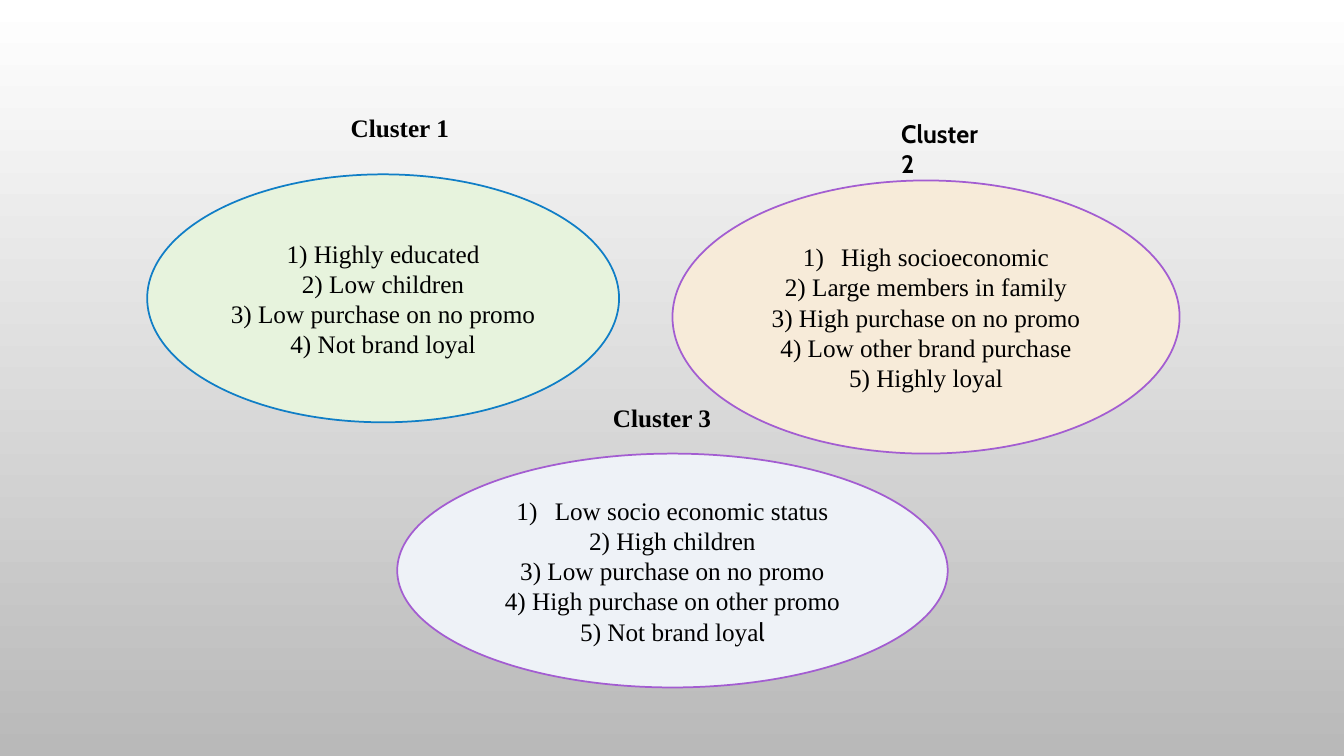
"""Build a slide that profiles three customer clusters in labelled ellipses."""
from lxml import etree
from pptx import Presentation
from pptx.dml.color import RGBColor
from pptx.enum.shapes import MSO_SHAPE
from pptx.enum.text import MSO_ANCHOR, PP_ALIGN
from pptx.oxml.ns import qn
from pptx.util import Inches, Pt

ELLIPSE = MSO_SHAPE.OVAL
MIDDLE = MSO_ANCHOR.MIDDLE
CENTER = PP_ALIGN.CENTER

SERIF = "Times New Roman"
SANS = "Cabin"
TEXT_SIZE = Pt(18)
NUMBER_INDENT = Inches(0.38)
LABEL_HEIGHT = 0.4

BLACK = RGBColor(0x00, 0x00, 0x00)
WHITE = RGBColor(0xFF, 0xFF, 0xFF)
GRAY = RGBColor(0xB9, 0xB9, 0xB9)
BLUE = RGBColor(0x10, 0x7E, 0xC6)
PURPLE = RGBColor(0xA3, 0x5D, 0xD1)
PALE_GREEN = RGBColor(0xE7, 0xF3, 0xDD)
PALE_ORANGE = RGBColor(0xF7, 0xEB, 0xD9)
PALE_BLUE = RGBColor(0xEE, 0xF2, 0xF7)

CLUSTERS = [
    {
        "label": "Cluster 1", "label_box": (3.38, 1.07, 1.19), "label_font": SERIF, "wrap": False,
        "box": (1.46, 1.73, 4.68, 2.46), "fill": PALE_GREEN, "line": BLUE, "auto_first": False,
        "traits": [["1) Highly educated"], ["2) Low children"],
                   ["3) Low purchase on no promo"], ["4) Not brand loyal"]],
    },
    {
        "label": "Cluster 2", "label_box": (8.84, 1.12, 1.12), "label_font": SANS, "wrap": True,
        "box": (6.67, 1.79, 5.03, 2.71), "fill": PALE_ORANGE, "line": PURPLE, "auto_first": True,
        "traits": [["High socioeconomic"], ["2) Large members in family"],
                   ["3) High purchase on no promo"], ["4) Low other brand purchase"],
                   ["5) Highly loyal"]],
    },
    {
        "label": "Cluster 3", "label_box": (5.98, 3.94, 1.19), "label_font": SERIF, "wrap": False,
        "box": (3.94, 4.5, 5.46, 2.32), "fill": PALE_BLUE, "line": PURPLE, "auto_first": True,
        "traits": [["Low socio economic status"], ["2) High children"],
                   ["3) Low purchase on no promo"], ["4) High purchase on other promo"],
                   ["5) Not brand loya", "l"]],
    },
]


def style_font(font, name, bold=False):
    font.name = name
    font.size = TEXT_SIZE
    font.bold = bold
    font.color.rgb = BLACK


def number_paragraph(paragraph):
    properties = paragraph._p.get_or_add_pPr()
    properties.set("marL", str(NUMBER_INDENT))
    properties.set("indent", str(-NUMBER_INDENT))
    etree.SubElement(properties, qn("a:buFont"), typeface="+mj-lt")
    etree.SubElement(properties, qn("a:buAutoNum"), type="arabicParenR")


def add_profile(slide, cluster):
    shape = slide.shapes.add_shape(ELLIPSE, *map(Inches, cluster["box"]))
    shape.shadow.inherit = False
    shape.fill.solid()
    shape.fill.fore_color.rgb = cluster["fill"]
    shape.line.color.rgb = cluster["line"]
    shape.line.width = Pt(1.25)
    frame = shape.text_frame
    frame.word_wrap = True
    frame.vertical_anchor = MIDDLE
    for index, parts in enumerate(cluster["traits"]):
        paragraph = frame.add_paragraph() if index else frame.paragraphs[0]
        paragraph.alignment = CENTER
        if index == 0 and cluster["auto_first"]:
            number_paragraph(paragraph)
        for text, font_name in zip(parts, (SERIF, SANS)):
            run = paragraph.add_run()
            run.text = text
            style_font(run.font, font_name)


def add_label(slide, cluster):
    left, top, width = cluster["label_box"]
    label = slide.shapes.add_textbox(*map(Inches, (left, top, width, LABEL_HEIGHT)))
    label.text_frame.word_wrap = cluster["wrap"]
    paragraph = label.text_frame.paragraphs[0]
    paragraph.text = cluster["label"]
    style_font(paragraph.font, cluster["label_font"], bold=True)


def main():
    presentation = Presentation()
    presentation.slide_width = Inches(13.33)
    presentation.slide_height = Inches(7.5)
    slide = presentation.slides.add_slide(presentation.slide_layouts[6])
    background = slide.background.fill
    background.gradient()
    background.gradient_angle = 270
    for stop, color in zip(background.gradient_stops, (WHITE, GRAY)):
        stop.color.rgb = color
    for cluster in CLUSTERS:
        add_profile(slide, cluster)
    for cluster in CLUSTERS:
        add_label(slide, cluster)
    presentation.save("out.pptx")


if __name__ == "__main__":
    main()
